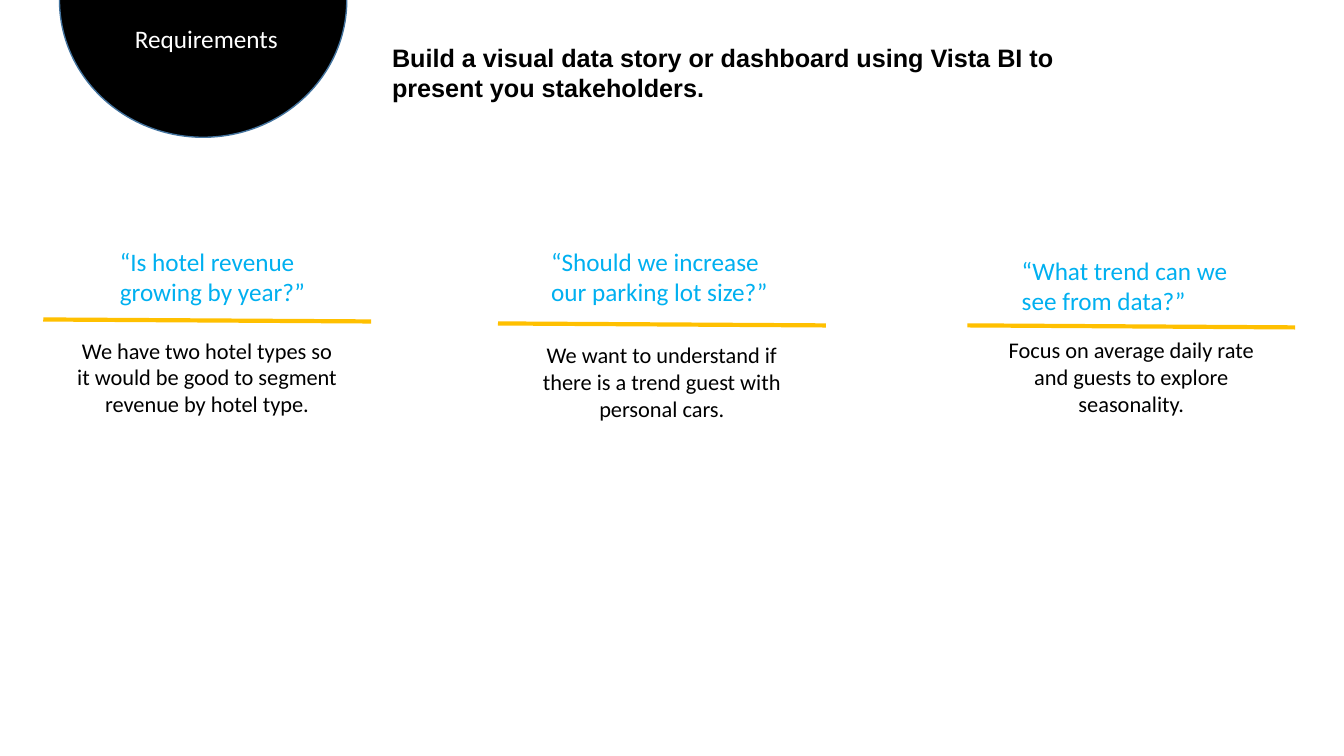
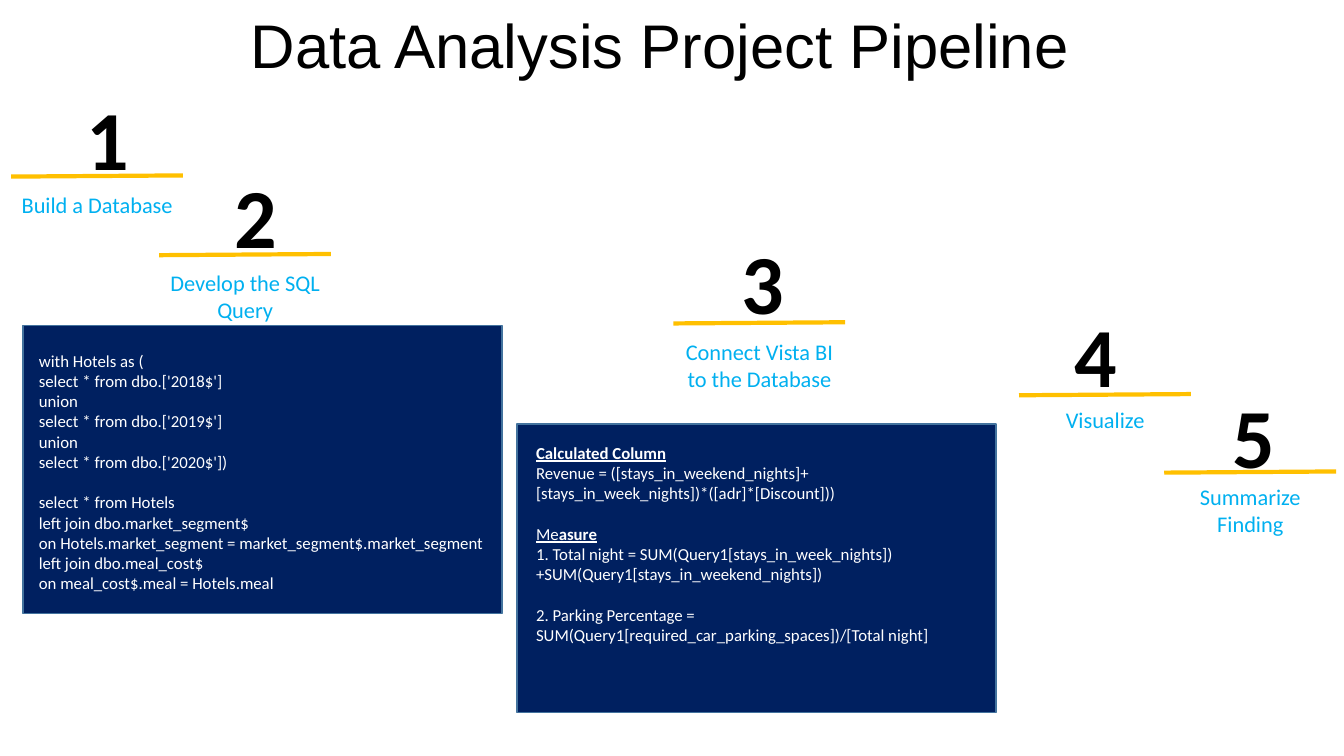
from lxml import etree
from pptx import Presentation
from pptx.dml.color import RGBColor
from pptx.enum.shapes import MSO_CONNECTOR as Line, MSO_SHAPE as Preset
from pptx.enum.text import PP_ALIGN as Align
from pptx.oxml.ns import qn
from pptx.util import Cm, Pt

BLACK, WHITE, NAVY = "000000", "FFFFFF", "002060"
SKY, AMBER, OUTLINE = "00B0F0", "FFC000", "43739E"
BODY_FONT, TITLE_FONT = "Calibri", "Arial"
CODE_GAP = Pt(14.65)


def color(hex_code):
    return RGBColor.from_string(hex_code)


def style(font, size, hex_code, name=BODY_FONT, bold=False):
    font.size, font.name, font.bold = Pt(size), name, bold
    font.color.rgb = color(hex_code)


def add_frame(shapes, left, top, width, height):
    box = shapes.add_textbox(Cm(left), Cm(top), Cm(width), Cm(height))
    box.text_frame.word_wrap = True
    return box.text_frame


def add_text(shapes, box, text, size, hex_code, align=Align.LEFT, **font):
    paragraph = add_frame(shapes, *box).paragraphs[0]
    paragraph.text = text
    paragraph.alignment = align
    style(paragraph.font, size, hex_code, **font)


def add_rule(shapes, left, top, width, drop):
    rule = shapes.add_connector(Line.STRAIGHT, Cm(left), Cm(top),
                                Cm(left + width), Cm(top + drop))
    rule.line.color.rgb = color(AMBER)
    rule.line.width = Pt(3)
    etree.SubElement(rule._element.spPr, qn("a:effectLst"))


def add_panel(shapes, preset, box, fill):
    panel = shapes.add_shape(preset, *map(Cm, box))
    panel.shadow.inherit = False
    panel.fill.solid()
    panel.fill.fore_color.rgb = color(fill)
    panel.line.color.rgb = color(OUTLINE)
    panel.line.width = Pt(1)


def add_code(shapes, box, inset, sections):
    left, top, width, height = box
    dx, dy, right = inset
    add_panel(shapes, Preset.RECTANGLE, box, NAVY)
    frame = add_frame(shapes, left + dx, top + dy, width - dx - right, height - dy)
    paragraph = frame.paragraphs[0]
    for section_index, section in enumerate(sections):
        for line_index, line in enumerate(section):
            if section_index or line_index:
                paragraph = frame.add_paragraph()
            if section_index and not line_index:
                paragraph.space_before = CODE_GAP
            style(paragraph.font, 12, WHITE)
            if isinstance(line, str):
                paragraph.text = line
                continue
            paragraph.font.underline = True
            for text, bold in line:
                run = paragraph.add_run()
                run.text, run.font.bold = text, bold


def add_requirement(shapes, left, top, question, question_at, detail, detail_dy):
    dx, dy = question_at
    add_rule(shapes, left, top, 8.26, 0.05)
    add_text(shapes, (left + dx, top + dy, 6.05, 1.8), question, 18, SKY)
    add_text(shapes, (left + 0.51, top + detail_dy, 7.24, 2.31), detail, 16, BLACK,
             Align.CENTER)


def add_stage(shapes, left, top, number, number_at, label, label_dy):
    dx, dy = number_at
    add_rule(shapes, left, top, 4.33, -0.03)
    add_text(shapes, (left, top + label_dy, 4.34, 1.63), label, 16, SKY, Align.CENTER)
    add_text(shapes, (left + dx, top + dy, 1.04, 2.82), number, 60, BLACK, bold=True)


def build_requirements(shapes):
    add_panel(shapes, Preset.OVAL, (1.5, -3.45, 7.24, 6.91), BLACK)
    add_text(shapes, (3.15, 0.46, 4.5, 1.02), "Requirements", 18, WHITE)
    add_text(shapes, (9.63, 0.94, 19.61, 1.8),
             "Build a visual data story or dashboard using Vista BI to present you "
             "stakeholders.", 18, BLACK, name=TITLE_FONT, bold=True)
    for requirement in REQUIREMENTS:
        add_requirement(shapes, *requirement)


def build_pipeline(shapes):
    add_text(shapes, (6.07, 0.05, 22.2, 2.13), "Data Analysis Project Pipeline", 44,
             BLACK, name=TITLE_FONT)
    for number, (*corner, number_at, label, label_dy, code) in enumerate(STAGES, 1):
        stage = shapes.add_group_shape().shapes
        add_stage(stage, *corner, str(number), number_at, label, label_dy)
        if code:
            add_code(stage, *code)


REQUIREMENTS = [
    (1.09, 8.05, "“Is hotel revenue growing by year?”", (1.68, -1.98),
     "We have two hotel types so it would be good to segment revenue by hotel type.",
     0.31),
    (12.55, 8.15, "“Should we increase our parking lot size?”", (1.09, -2.08),
     "We want to understand if there is a trend guest with personal cars.", 0.33),
    (24.38, 8.2, "“What trend can we see from data?”", (1.12, -1.9),
     "Focus on average daily rate and guests to explore seasonality.", 0.15),
]

QUERY = [
    ["with Hotels as (", "select * from dbo.['2018$']", "union",
     "select * from dbo.['2019$']", "union", "select * from dbo.['2020$'])"],
    ["select * from Hotels", "left join dbo.market_segment$",
     "on Hotels.market_segment = market_segment$.market_segment",
     "left join dbo.meal_cost$", "on meal_cost$.meal = Hotels.meal"],
]

FORMULAS = [
    [[("Calculated Column", True)],
     "Revenue = ([stays_in_weekend_nights]+[stays_in_week_nights])*([adr]*[Discount]))"],
    [[("Me", False), ("asure", True)],
     "1. Total night = SUM(Query1[stays_in_week_nights])"
     "+SUM(Query1[stays_in_weekend_nights])"],
    ["2. Parking Percentage = SUM(Query1[required_car_parking_spaces])/[Total night]"],
]

STAGES = [
    (0.28, 4.45, (1.65, -2.39), "Build a Database", 0.23, None),
    (4.01, 6.43, (1.65, -2.41), "Develop the SQL Query", 0.23,
     ((0.58, 8.2, 12.07, 7.26), (0.15, 0.51, 0.18), QUERY)),
    (16.97, 8.15, (1.47, -2.46), "Connect Vista BI to the Database", 0.25,
     ((13.03, 10.69, 12.07, 7.26), (0.23, 0.33, 0.3), FORMULAS)),
    (25.68, 9.96, (1.14, -2.44), "Visualize", 0.15, None),
    (29.34, 11.91, (1.47, -2.34), "Summarize Finding", 0.15, None),
]

deck = Presentation()
deck.slide_width, deck.slide_height = Cm(33.87), Cm(19.05)
for build in (build_requirements, build_pipeline):
    build(deck.slides.add_slide(deck.slide_layouts[6]).shapes)
deck.save("out.pptx")
